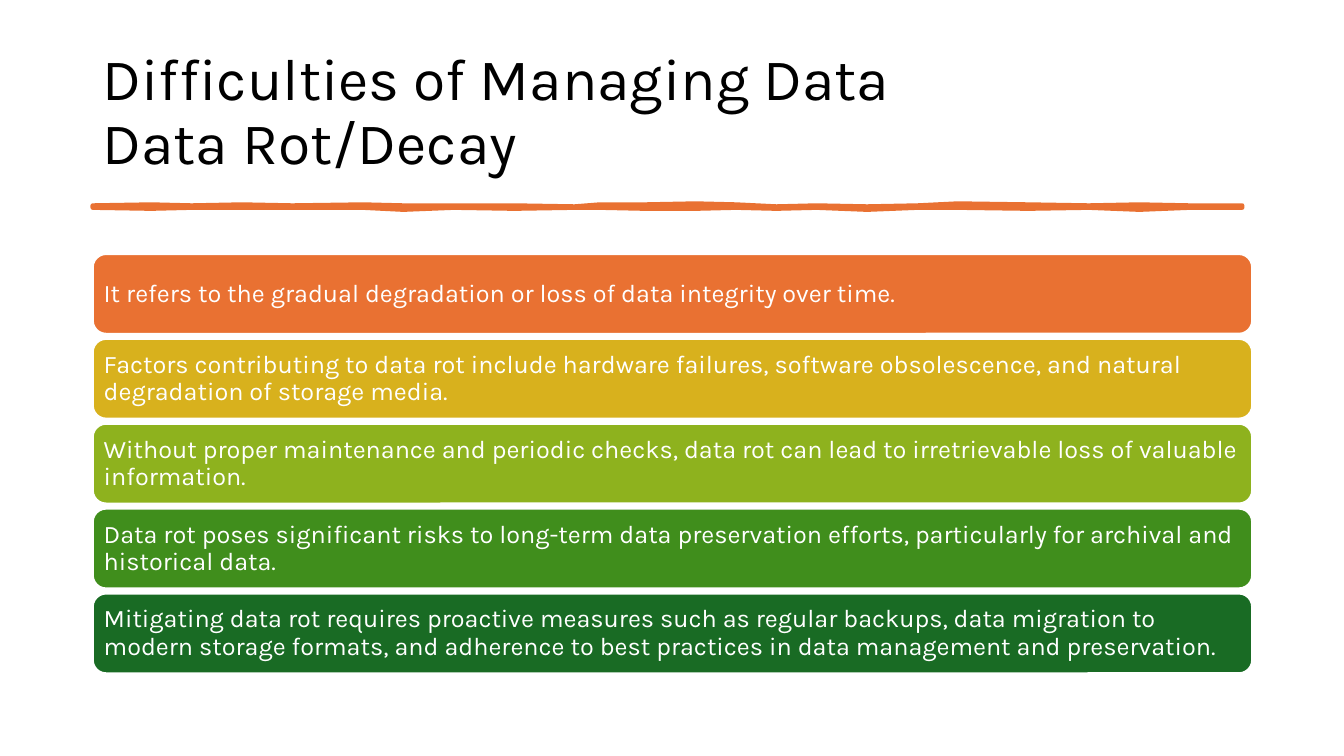
from pptx import Presentation
from pptx.dml.color import RGBColor
from pptx.enum.shapes import MSO_SHAPE
from pptx.enum.text import MSO_ANCHOR, PP_ALIGN
from pptx.util import Inches, Pt

ROUNDED = MSO_SHAPE.ROUNDED_RECTANGLE
MIDDLE = MSO_ANCHOR.MIDDLE
LEFT = PP_ALIGN.LEFT

FONT = "Karla"
COLORS = {
    "black": "000000",
    "white": "FFFFFF",
    "orange": "E97132",
    "gold": "D8B11D",
    "lime": "8EB21E",
    "green": "408E1C",
    "forest": "196B24",
}

CONTENT_LEFT = 0.92
CONTENT_WIDTH = 11.5
BARS_TOP = 2.52
BARS_BOTTOM = 6.68
BAR_GAP = 0.05

BARS = [
    ("orange", "It refers to the gradual degradation or loss of data integrity over time."),
    ("gold", "Factors contributing to data rot include hardware failures, software "
             "obsolescence, and natural degradation of storage media."),
    ("lime", "Without proper maintenance and periodic checks, data rot can lead to "
             "irretrievable loss of valuable information."),
    ("green", "Data rot poses significant risks to long-term data preservation efforts, "
              "particularly for archival and historical data."),
    ("forest", "Mitigating data rot requires proactive measures such as regular backups, "
               "data migration to modern storage formats, and adherence to best practices "
               "in data management and preservation."),
]

BRUSH_EDGES = [
    (0.92, 2.04, 2.06), (1.5, 2.03, 2.07), (1.9, 2.04, 2.06), (2.4, 2.03, 2.06),
    (2.9, 2.04, 2.06), (3.6, 2.03, 2.06), (4.0, 2.04, 2.08), (4.5, 2.04, 2.06),
    (5.1, 2.04, 2.07), (5.7, 2.05, 2.06), (5.95, 2.03, 2.06), (6.4, 2.03, 2.07),
    (6.9, 2.02, 2.07), (7.3, 2.03, 2.06), (7.7, 2.05, 2.07), (8.1, 2.04, 2.06),
    (8.6, 2.05, 2.08), (9.1, 2.04, 2.06), (9.5, 2.02, 2.06), (10.2, 2.03, 2.07),
    (10.8, 2.04, 2.06), (11.3, 2.03, 2.08), (11.8, 2.04, 2.06), (12.32, 2.04, 2.06),
]


def rgb(name):
    return RGBColor.from_string(COLORS[name])


def write_text(shape, text, size, color, inset_x=0.1, inset_y=0.05):
    frame = shape.text_frame
    frame.word_wrap = True
    frame.vertical_anchor = MIDDLE
    frame.margin_left = frame.margin_right = Inches(inset_x)
    frame.margin_top = frame.margin_bottom = Inches(inset_y)
    paragraph = frame.paragraphs[0]
    paragraph.text = text
    paragraph.alignment = LEFT
    paragraph.line_spacing = 0.9
    for run in paragraph.runs:
        run.font.name = FONT
        run.font.size = Pt(size)
        run.font.color.rgb = rgb(color)


def style_shape(shape, fill, line, line_width):
    shape.shadow.inherit = False
    shape.fill.solid()
    shape.fill.fore_color.rgb = rgb(fill)
    shape.line.color.rgb = rgb(line)
    shape.line.width = Pt(line_width)


def add_title(slide, text):
    title = slide.shapes.add_textbox(
        Inches(CONTENT_LEFT), Inches(0.4), Inches(CONTENT_WIDTH), Inches(1.45))
    write_text(title, text, size=42, color="black")


def add_brush_line(slide):
    upper = [(Inches(x), Inches(top)) for x, top, bottom in BRUSH_EDGES]
    lower = [(Inches(x), Inches(bottom)) for x, top, bottom in reversed(BRUSH_EDGES)]
    builder = slide.shapes.build_freeform(*upper[0])
    builder.add_line_segments(upper[1:] + lower, close=True)
    style_shape(builder.convert_to_shape(), "orange", "orange", 3.25)


def add_bar(slide, text, color, top, height):
    bar = slide.shapes.add_shape(
        ROUNDED, Inches(CONTENT_LEFT), Inches(top), Inches(CONTENT_WIDTH), Inches(height))
    style_shape(bar, color, "white", 1.5)
    write_text(bar, text, size=18, color="white", inset_x=0.07, inset_y=0.07)


def main():
    presentation = Presentation()
    presentation.slide_width = Inches(13.33)
    presentation.slide_height = Inches(7.5)
    slide = presentation.slides.add_slide(presentation.slide_layouts[6])

    add_title(slide, "Difficulties of Managing Data\nData Rot/Decay")
    add_brush_line(slide)

    pitch = (BARS_BOTTOM - BARS_TOP + BAR_GAP) / len(BARS)
    for index, (color, text) in enumerate(BARS):
        add_bar(slide, text, color, BARS_TOP + index * pitch, pitch - BAR_GAP)

    presentation.save("out.pptx")


if __name__ == "__main__":
    main()
